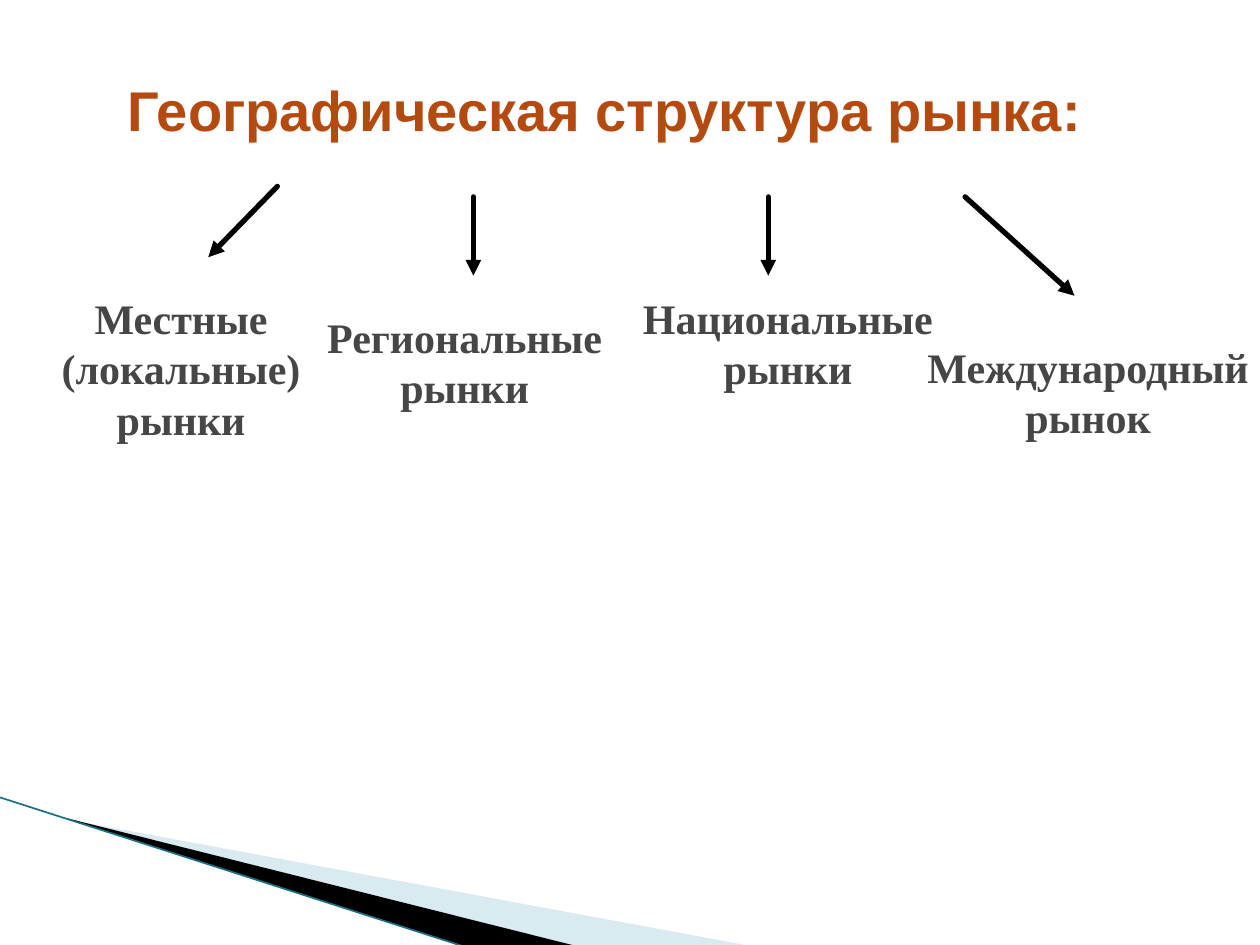
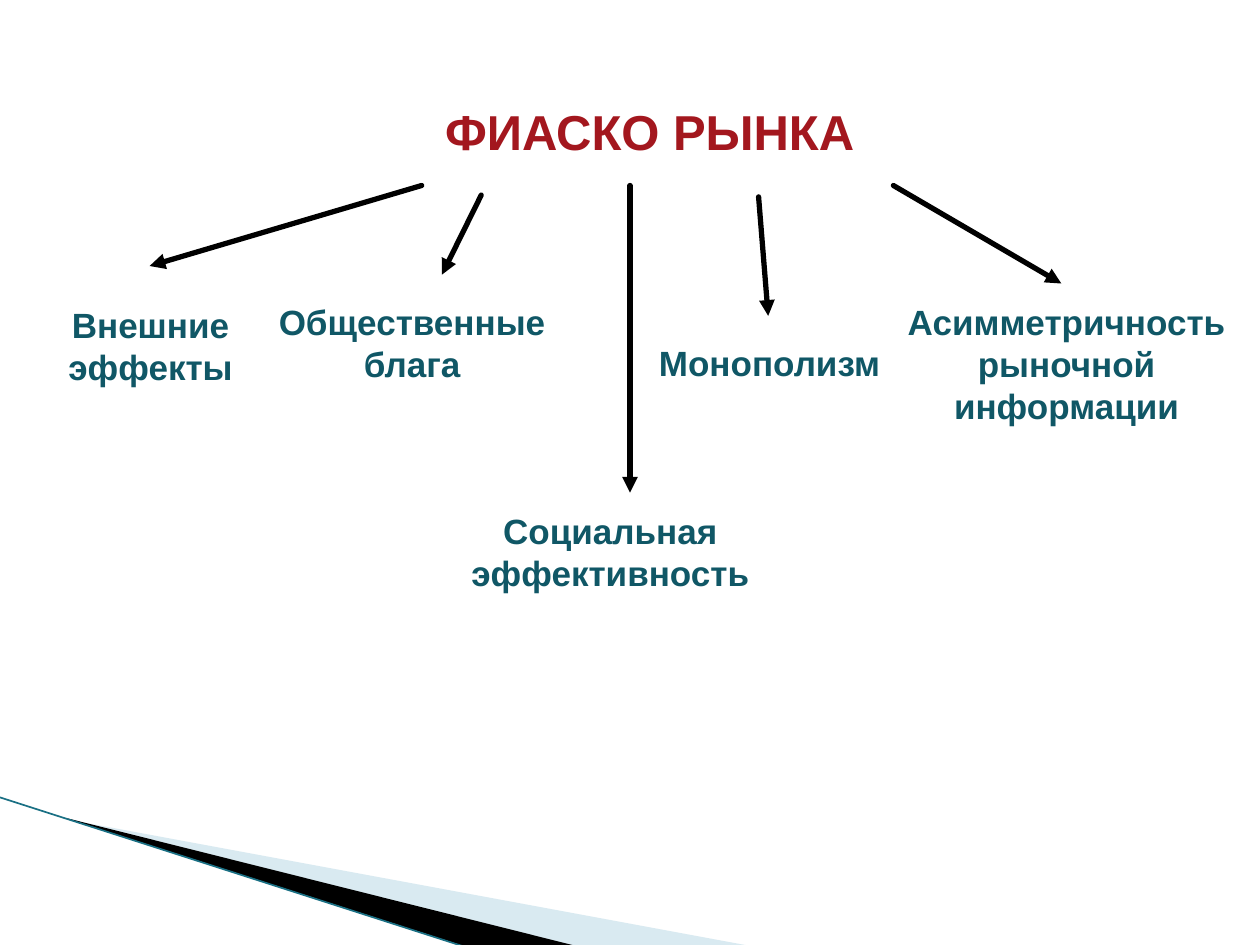
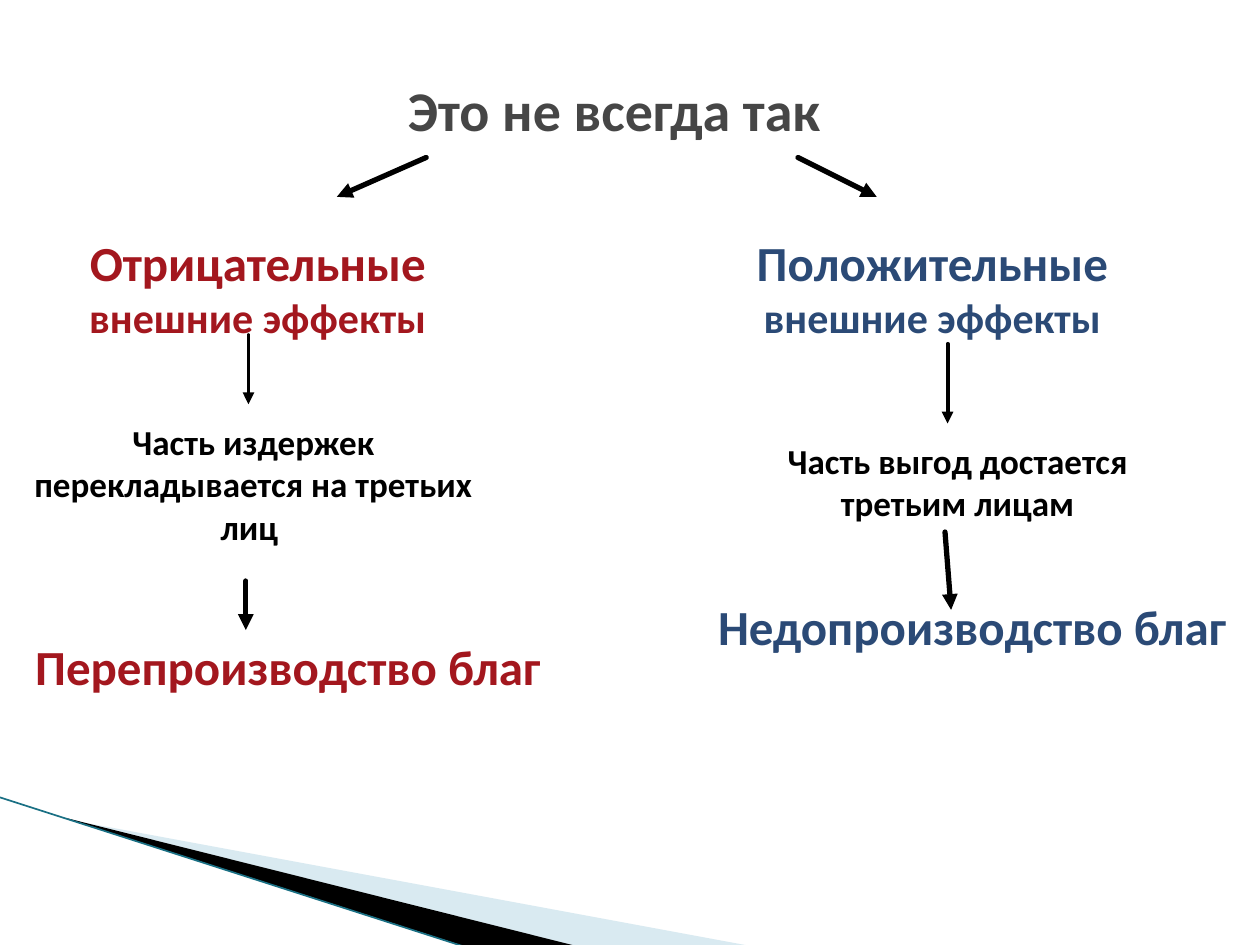
from lxml import etree
from pptx import Presentation
from pptx.dml.color import RGBColor
from pptx.enum.shapes import MSO_CONNECTOR
from pptx.enum.text import MSO_AUTO_SIZE, PP_ALIGN
from pptx.oxml.ns import qn
from pptx.util import Pt

STRAIGHT = MSO_CONNECTOR.STRAIGHT
CENTER = PP_ALIGN.CENTER
GROW = MSO_AUTO_SIZE.SHAPE_TO_FIT_TEXT

BLACK = RGBColor(0x00, 0x00, 0x00)
GREY = RGBColor(0x46, 0x46, 0x46)
RUST = RGBColor(0xB5, 0x4A, 0x10)
RED = RGBColor(0xA3, 0x17, 0x1E)
TEAL = RGBColor(0x10, 0x57, 0x66)
NAVY = RGBColor(0x2B, 0x4A, 0x76)
PALE = RGBColor(0xA0, 0xCB, 0xDC)
EDGE = RGBColor(0x1A, 0x70, 0x84)

MARKET = ("Times New Roman", 24, GREY)
FAILURE = ("Arial", 20, TEAL)
NOTE = ("Calibri", 20, BLACK)
LOSS = ("Calibri", 28, RED)
GAIN = ("Calibri", 28, NAVY)

MARKETS = [
    ("Местные (локальные) рынки", (16.5, 163.5, 174, 94), (158.5, 106.5, 119, 147)),
    ("Региональные рынки", (163.5, 174.5, 204, 65.5), (270.5, 112.5, 270.5, 157.5)),
    ("Национальные рынки", (354.5, 163.5, 191.5, 65.5), (439, 112.5, 439, 157.5)),
    ("Международный рынок", (512, 191.5, 219.5, 65.5), (551.5, 112.5, 614, 169)),
]
FAILURES = [
    ("Внешние эффекты", (14.5, 170, 143, 55.5), (241, 106, 85.5, 152)),
    ("Общественные блага", (150.5, 168, 170, 55.5), (275, 111.5, 252.5, 157)),
    ("Монополизм", (366, 191.5, 147.5, 31), (433.5, 112.5, 439, 180.5)),
    ("Асимметричность рыночной информации", (499, 168, 221, 79), (510.5, 106, 606.5, 162)),
    ("Социальная эффективность", (258, 287.5, 181.5, 55.5), (360, 106, 360, 281.5)),
]


def draw_line(slide, ends, color, width):
    """Draw a straight line without a shadow between two points."""
    line = slide.shapes.add_connector(STRAIGHT, *map(Pt, ends))
    line.line.color.rgb = color
    line.line.width = Pt(width)
    etree.SubElement(line.element.spPr, qn("a:effectLst"))
    return line


def draw_arrow(slide, ends, width=3):
    """Draw a black arrow with a round cap."""
    arrow = draw_line(slide, ends, BLACK, width)
    stroke = arrow.element.spPr.find(qn("a:ln"))
    stroke.set("cap", "rnd")
    etree.SubElement(stroke, qn("a:round"))
    etree.SubElement(stroke, qn("a:tailEnd"), type="triangle")


def draw_wedge(slide, points, color):
    """Draw a filled outline through the points and return it."""
    first, *rest = [(Pt(x), Pt(y)) for x, y in points]
    pen = slide.shapes.build_freeform(*first)
    pen.add_line_segments(rest)
    wedge = pen.convert_to_shape()
    wedge.shadow.inherit = False
    wedge.fill.solid()
    wedge.fill.fore_color.rgb = color
    wedge.line.fill.background()
    return wedge


def write(slide, box, text, style, more="", small=24):
    """Write bold centred text, with an optional smaller second run."""
    font, size, color = style
    label = slide.shapes.add_textbox(*map(Pt, box))
    frame = label.text_frame
    frame.word_wrap = True
    frame.auto_size = GROW
    para = frame.paragraphs[0]
    para.alignment = CENTER
    para.font.name = font
    para.font.size = Pt(size)
    para.font.bold = True
    para.font.color.rgb = color
    para.add_run().text = text
    if more:
        run = para.add_run()
        run.text = more
        run.font.size = Pt(small)


def start_slide(deck, box, title, style):
    """Add a slide with the corner wedges and its title."""
    slide = deck.slides.add_slide(deck.slide_layouts[6])
    pale = draw_wedge(slide, [(39.5, 468.5), (428.5, 540.5), (328.5, 540.5), (39.5, 468)], PALE)
    tint = pale.element.spPr.find(".//" + qn("a:srgbClr"))
    etree.SubElement(tint, qn("a:alpha"), val="40000")
    draw_wedge(slide, [(38, 467.5), (329, 540.5), (268, 541.5), (39, 468)], BLACK)
    draw_line(slide, (-0.5, 455.5, 267, 541.5), EDGE, 0.95)
    write(slide, box, title, style)
    return slide


def add_branches(slide, items, style):
    """Add each label with the arrow that leads to it."""
    for text, box, ends in items:
        write(slide, box, text, style)
        draw_arrow(slide, ends)


def add_effects(slide):
    """Add the chains of negative and positive effects."""
    draw_arrow(slide, (243.5, 90, 192.5, 112.5))
    write(slide, (28, 129.5, 238.5, 70.5), "Отрицательные ", LOSS, "внешние эффекты")
    write(slide, (0, 237, 289.5, 79), "Часть издержек перекладывается на третьих лиц ", NOTE)
    draw_arrow(slide, (142, 191.5, 142, 231), 2.25)
    write(slide, (0, 360, 329, 41), "Перепроизводство благ", LOSS)
    draw_arrow(slide, (140.5, 332, 140.5, 360))

    draw_arrow(slide, (456, 90, 501, 112.5))
    write(slide, (399.5, 129.5, 266.5, 70.5), "Положительные ", GAIN, "внешние эффекты")
    write(slide, (405.5, 247.5, 283.5, 55.5), "Часть выгод достается третьим лицам", NOTE)
    draw_arrow(slide, (541.5, 196.5, 541.5, 242), 2.25)
    write(slide, (391, 337.5, 329, 41), "Недопроизводство благ", GAIN)
    draw_arrow(slide, (540, 304, 543.5, 348.5))


def main():
    """Build the three slides and save them."""
    deck = Presentation()
    deck.slide_width, deck.slide_height = Pt(720), Pt(540)
    slide = start_slide(deck, (62, 39.5, 567.5, 45.5),
                        "Географическая структура рынка:", ("Arial", 32, RUST))
    add_branches(slide, MARKETS, MARKET)
    slide = start_slide(deck, (76.5, 54.5, 589.5, 41),
                        "ФИАСКО РЫНКА", ("Arial", 28, RED))
    add_branches(slide, FAILURES, FAILURE)
    slide = start_slide(deck, (62, 39.5, 578, 46),
                        "Это не всегда так", ("Calibri", 32, GREY))
    add_effects(slide)
    deck.save("out.pptx")


if __name__ == "__main__":
    main()
